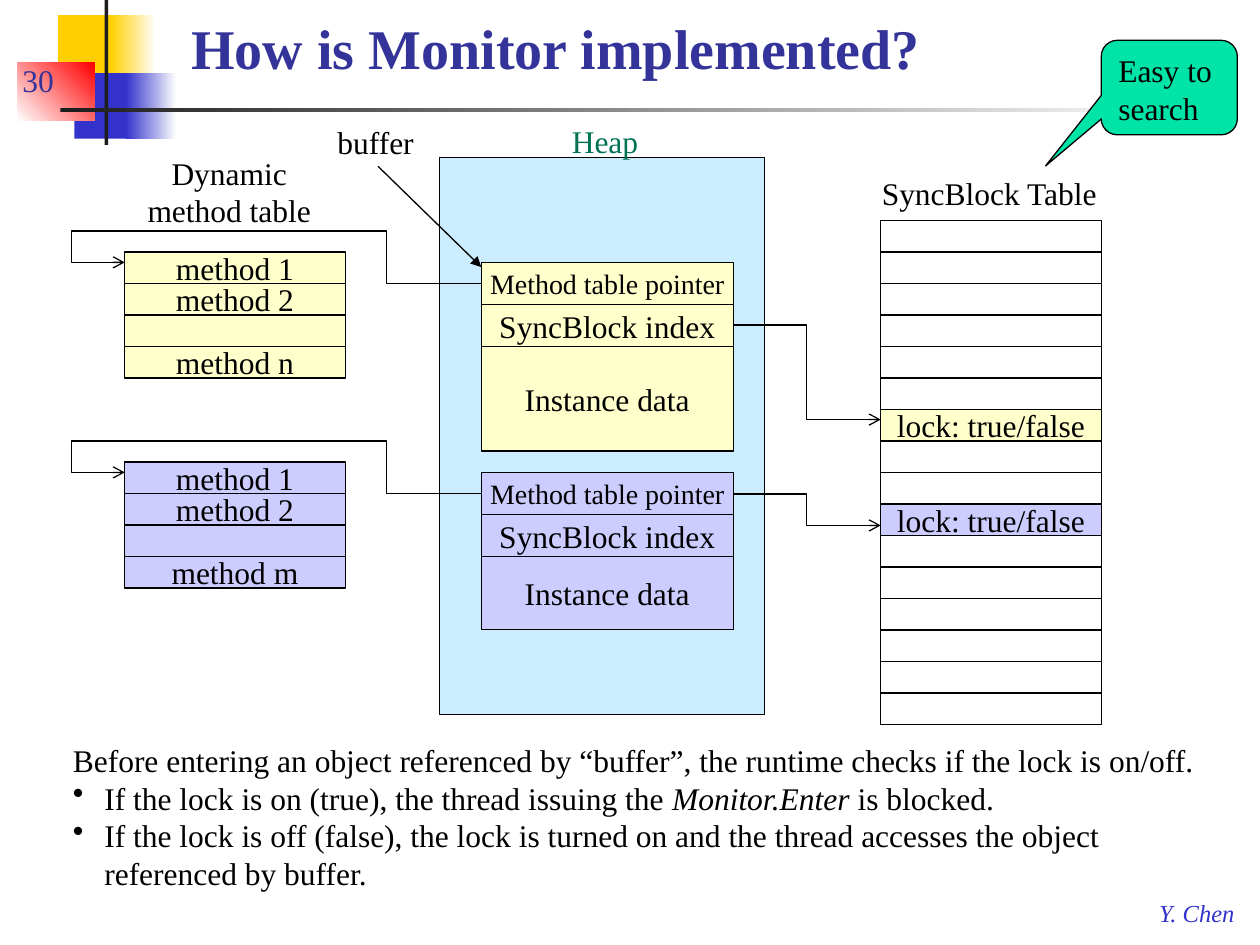
from dataclasses import dataclass

from lxml.etree import SubElement
from pptx import Presentation
from pptx.dml.color import RGBColor
from pptx.enum.shapes import MSO_CONNECTOR, MSO_SHAPE
from pptx.enum.text import MSO_ANCHOR as Anchor, PP_ALIGN as Align
from pptx.oxml.ns import qn
from pptx.util import Cm, Length, Pt

COLORS = {
    "black": "000000", "white": "FFFFFF", "ink": "1C1C1C", "gold": "FFCF01",
    "blue": "3333CC", "red": "FF0000", "navy": "333399", "green": "007254",
    "heap": "CCECFF", "yellow": "FFFFCC", "violet": "CCCCFF", "mint": "00E4A8",
}
FONT = "Times New Roman"
ROW = 0.25    # height of a table row, inches
FIELD = 1 / 3  # height of an object header field, inches


@dataclass
class Band:
    """A rectangle of the slide's decoration, with an optional gradient."""
    area: tuple
    color: str
    end: str = ""
    angle: int = 0


@dataclass
class Cell:
    """One labelled cell of a stack."""
    label: str
    height: float
    color: str
    size: int = 18


@dataclass
class Label:
    """A free-standing line of text."""
    text: str
    area: tuple
    format: dict


def inch(value: float) -> Length:
    """Convert inches on the slide grid to a length."""
    return Cm(value * 2.54)


def rgb(name: str) -> RGBColor:
    """Look up a named colour."""
    return RGBColor.from_string(COLORS[name])


def write(box, text: str, *, size=18, color="black", bold=False, align=Align.LEFT,
          anchor=Anchor.TOP, wrap=False, italic_part="", hanging=0.0, bullets=()) -> None:
    """Put text, one paragraph per line, into a box."""
    frame = box.text_frame
    frame.word_wrap, frame.vertical_anchor = wrap, anchor
    for number, line in enumerate(text.split("\n")):
        para = frame.paragraphs[0] if number == 0 else frame.add_paragraph()
        para.alignment = align
        before, found, after = line.partition(italic_part) if italic_part else (line, "", "")
        for part, italic in ((before, False), (found, True), (after, False)):
            if part:
                span = para.add_run()
                span.text = part
                font = span.font
                font.name, font.size, font.bold, font.italic = FONT, Pt(size), bold, italic
                font.color.rgb = rgb(color)
        if hanging:
            properties = para._p.get_or_add_pPr()
            properties.set("marL", str(inch(hanging)))
            properties.set("indent", str(-inch(hanging)))
            if number in bullets:
                SubElement(properties, qn("a:buChar"), char="•")


def add_text(page, text: str, area: tuple, **style) -> None:
    """Add a text box."""
    write(page.shapes.add_textbox(*map(inch, area)), text, **style)


def add_box(page, area: tuple, color: str, kind=MSO_SHAPE.RECTANGLE, outline=True):
    """Add a filled shape, outlined in black by default."""
    box = page.shapes.add_shape(kind, *map(inch, area))
    box.shadow.inherit = False
    box.fill.solid()
    box.fill.fore_color.rgb = rgb(color)
    if outline:
        set_line(box)
    else:
        box.line.fill.background()
    return box


def set_line(shape, tail: str = "") -> None:
    """Give a shape a thin black line, with an optional arrowhead."""
    shape.line.color.rgb = rgb("black")
    shape.line.width = Pt(0.75)
    if tail:
        SubElement(shape.element.spPr.find(qn("a:ln")), qn("a:tailEnd"), type=tail)


def add_band(page, band: Band) -> None:
    """Add one decoration rectangle."""
    box = add_box(page, band.area, band.color, outline=False)
    if band.end:
        box.fill.gradient()
        box.fill.gradient_angle = band.angle
        for stop, color in zip(box.fill.gradient_stops, (band.color, band.end)):
            stop.color.rgb = rgb(color)


def add_stack(page, left: float, top: float, width: float, cells: list) -> None:
    """Stack cells downwards from the top."""
    for cell in cells:
        box = add_box(page, (left, top, width, cell.height), cell.color)
        if cell.label:
            write(box, cell.label, size=cell.size, align=Align.CENTER, anchor=Anchor.MIDDLE)
        top += cell.height


def add_route(page, points: list) -> None:
    """Draw an angled arrow through the points."""
    corners = [(inch(x), inch(y)) for x, y in points]
    builder = page.shapes.build_freeform(*corners[0], scale=1.0)
    builder.add_line_segments(corners[1:], close=False)
    route = builder.convert_to_shape()
    route.shadow.inherit = False
    route.fill.background()
    set_line(route, "arrow")


def add_object(page, top: float, color: str, data_height: float, last: str) -> None:
    """Add a heap object, its method table and the pointer between them."""
    add_stack(page, 3.82, top, 2, [
        Cell("Method table pointer", FIELD, color, 16),
        Cell("SyncBlock index", FIELD, color),
        Cell("Instance data", data_height, color)])
    methods = ("method 1", "method 2", "", last)
    add_stack(page, 0.99, top - FIELD / 4, 1.75, [Cell(name, ROW, color) for name in methods])
    start, bend = top + FIELD / 2, top - ROW
    add_route(page, [(3.82, start), (3.07, start), (3.07, bend),
                     (0.57, bend), (0.57, top), (0.99, top)])


BANDS = [
    Band((0.46, 0.12, 0.48, 0.52), "gold"),
    Band((0.88, 0.12, 0.36, 0.52), "gold", "white"),
    Band((0.59, 0.58, 0.46, 0.52), "blue"),
    Band((1, 0.58, 0.4, 0.52), "blue", "white"),
    Band((0.14, 0.5, 0.61, 0.46), "white", "red", 45),
    Band((0.83, 0, 0.03, 1.15), "ink"),
    Band((0.48, 0.86, 9, 0.03), "ink", "white"),
]
LABELS = [
    Label("30", (0.08, 0.33, 2.08, 0.5), dict(color="navy", anchor=Anchor.BOTTOM, wrap=True)),
    Label("How is Monitor implemented?", (1.42, 0.08, 8.08, 0.61),
          dict(size=32, color="navy", bold=True, anchor=Anchor.BOTTOM, wrap=True)),
    Label("Y. Chen", (9.1, 7.08, 0.82, 0.33),
          dict(size=14, color="blue", italic_part="Y. Chen")),
    Label("Heap", (4.44, 0.92, 0.73, 0.4), dict(color="green")),
    Label("Dynamic\nmethod table", (1.07, 1.17, 1.5, 0.7), dict(align=Align.CENTER)),
    Label("SyncBlock Table", (6.9, 1.33, 1.93, 0.4), {}),
    Label("buffer", (2.58, 0.93, 0.81, 0.4), {}),
    Label("Before entering an object referenced by “buffer”, the runtime checks if the lock "
          "is on/off.\nIf the lock is on (true), the thread issuing the Monitor.Enter is blocked."
          "\nIf the lock is off (false), the lock is turned on and the thread accesses the object "
          "referenced by buffer.", (0.48, 5.83, 9.35, 1.3),
          dict(wrap=True, italic_part="Monitor.Enter", hanging=0.25, bullets=(1, 2))),
]
LOCK_COLORS = {6: "yellow", 9: "violet"}

deck = Presentation()
deck.slide_width, deck.slide_height = inch(10), inch(7.5)
page = deck.slides.add_slide(deck.slide_layouts[6])

for band in BANDS:
    add_band(page, band)
add_box(page, (3.49, 1.25, 2.58, 4.42), "heap")
add_object(page, 2.083, "yellow", 0.83, "method n")
add_object(page, 3.75, "violet", 0.58, "method m")
add_stack(page, 6.99, 1.75, 1.75, [
    Cell("lock: true/false" if row in LOCK_COLORS else "", ROW, LOCK_COLORS.get(row, "white"))
    for row in range(16)])
for start, end in ((2.58, 3.33), (3.92, 4.17)):
    add_route(page, [(5.82, start), (6.4, start), (6.4, end), (6.99, end)])
for label in LABELS:
    add_text(page, label.text, label.area, **label.format)

buffer_arrow = page.shapes.add_connector(
    MSO_CONNECTOR.STRAIGHT, *map(inch, (3, 1.32, 3.82, 2.12)))
set_line(buffer_arrow, "triangle")
SubElement(buffer_arrow.element.spPr, qn("a:effectLst"))

callout = add_box(page, (8.74, 0.32, 1.08, 0.75), "mint", MSO_SHAPE.ROUNDED_RECTANGULAR_CALLOUT)
for index, value in enumerate((-0.91, 0.83, 0.17)):
    callout.adjustments[index] = value
write(callout, "Easy to search", wrap=True)

deck.save("out.pptx")
